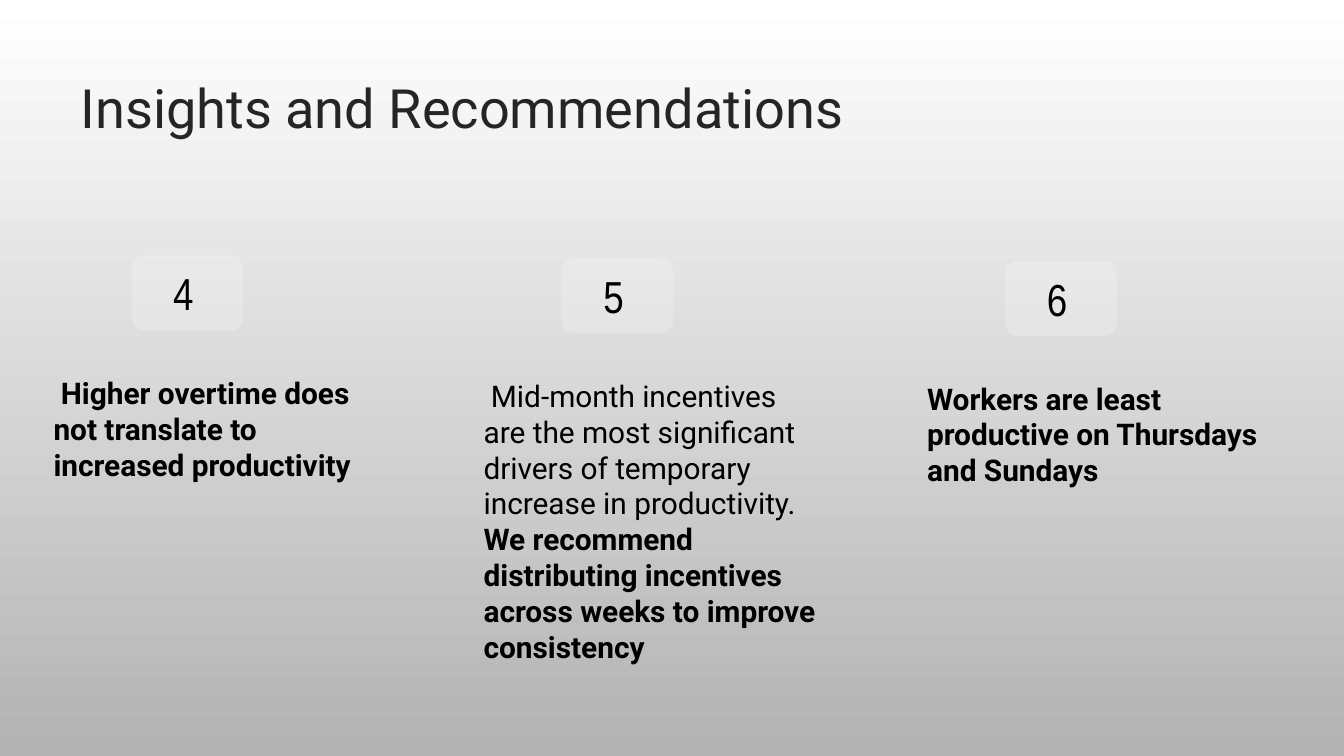
"""Build the Insights and Recommendations slide with three numbered findings."""
from lxml import etree
from pptx import Presentation
from pptx.dml.color import RGBColor
from pptx.enum.shapes import MSO_SHAPE
from pptx.enum.text import MSO_ANCHOR, MSO_AUTO_SIZE, PP_ALIGN
from pptx.oxml.ns import qn
from pptx.util import Inches, Pt

ROUNDED = MSO_SHAPE.ROUNDED_RECTANGLE
TOP, MIDDLE = MSO_ANCHOR.TOP, MSO_ANCHOR.MIDDLE
LEFT, CENTER = PP_ALIGN.LEFT, PP_ALIGN.CENTER
NO_FIT, GROW = MSO_AUTO_SIZE.NONE, MSO_AUTO_SIZE.SHAPE_TO_FIT_TEXT

COLORS = {"white": "FFFFFF", "gray": "B3B3B3", "title": "252525", "text": "000000"}
TITLE = "Insights and Recommendations"
FINDINGS = [
    {"number": "4", "left": 0.3, "top": 1.9, "height": 1.01, "runs": [
        (" ", False),
        ("Higher overtime does not translate to increased productivity", True)]},
    {"number": "5", "left": 3.5, "top": 1.92, "height": 2.09, "runs": [
        (" Mid-month incentives are the most significant drivers of temporary "
         "increase in productivity. ", False),
        ("We recommend distributing incentives across weeks to improve consistency", True)]},
    {"number": "6", "left": 6.8, "top": 1.94, "height": 0.74, "runs": [
        ("Workers are least productive on Thursdays and Sundays", True)]},
]
BADGE_OPACITY = 22


def color(name):
    return RGBColor.from_string(COLORS[name])


def fill_text(shape, runs, font_name, size, color_name, alignment, anchor, fit):
    frame = shape.text_frame
    frame.word_wrap = True
    frame.auto_size = fit
    frame.vertical_anchor = anchor
    frame.margin_left = frame.margin_right = Inches(0.1)
    frame.margin_top = frame.margin_bottom = Inches(0.1)
    paragraph = frame.paragraphs[0]
    paragraph.alignment = alignment
    paragraph.font.name = font_name
    paragraph.font.size = Pt(size)
    paragraph.font.color.rgb = color(color_name)
    for text, bold in runs:
        run = paragraph.add_run()
        run.text = text
        run.font.bold = bold


def add_badge(slide, left, top):
    badge = slide.shapes.add_shape(ROUNDED, left, top, Inches(0.83), Inches(0.56))
    badge.shadow.inherit = False
    badge.line.fill.background()
    badge.fill.solid()
    badge.fill.fore_color.rgb = color("white")
    fill_color = badge._element.spPr.find(qn("a:solidFill"))[0]
    etree.SubElement(fill_color, qn("a:alpha"), val=str(BADGE_OPACITY * 1000))


def add_finding(slide, finding):
    left, top = Inches(finding["left"]), Inches(finding["top"])
    add_badge(slide, left + Inches(0.68), top)
    number = slide.shapes.add_textbox(
        left - Inches(0.14), top + Inches(0.02), Inches(2.41), Inches(0.52))
    fill_text(number, [(finding["number"], False)], "Arial Narrow", 24, "text",
              CENTER, MIDDLE, NO_FIT)
    body = slide.shapes.add_textbox(
        left, top + Inches(0.79), Inches(2.69), Inches(finding["height"]))
    fill_text(body, finding["runs"], "Roboto", 16, "text", LEFT, TOP, GROW)


def main():
    presentation = Presentation()
    presentation.slide_width = Inches(10)
    presentation.slide_height = Inches(10) * 9 // 16
    slide = presentation.slides.add_slide(presentation.slide_layouts[5])

    background = slide.background.fill
    background.gradient()
    background.gradient_angle = 270
    for stop, name in zip(background.gradient_stops, ("white", "gray")):
        stop.color.rgb = color(name)

    title = slide.shapes.title
    title.left, title.top = Inches(0.5), Inches(0.45)
    title.width, title.height = Inches(9), Inches(0.85)
    fill_text(title, [(TITLE, False)], "Roboto", 29, "title", LEFT, TOP, NO_FIT)

    for finding in FINDINGS:
        add_finding(slide, finding)
    presentation.save("out.pptx")


if __name__ == "__main__":
    main()
